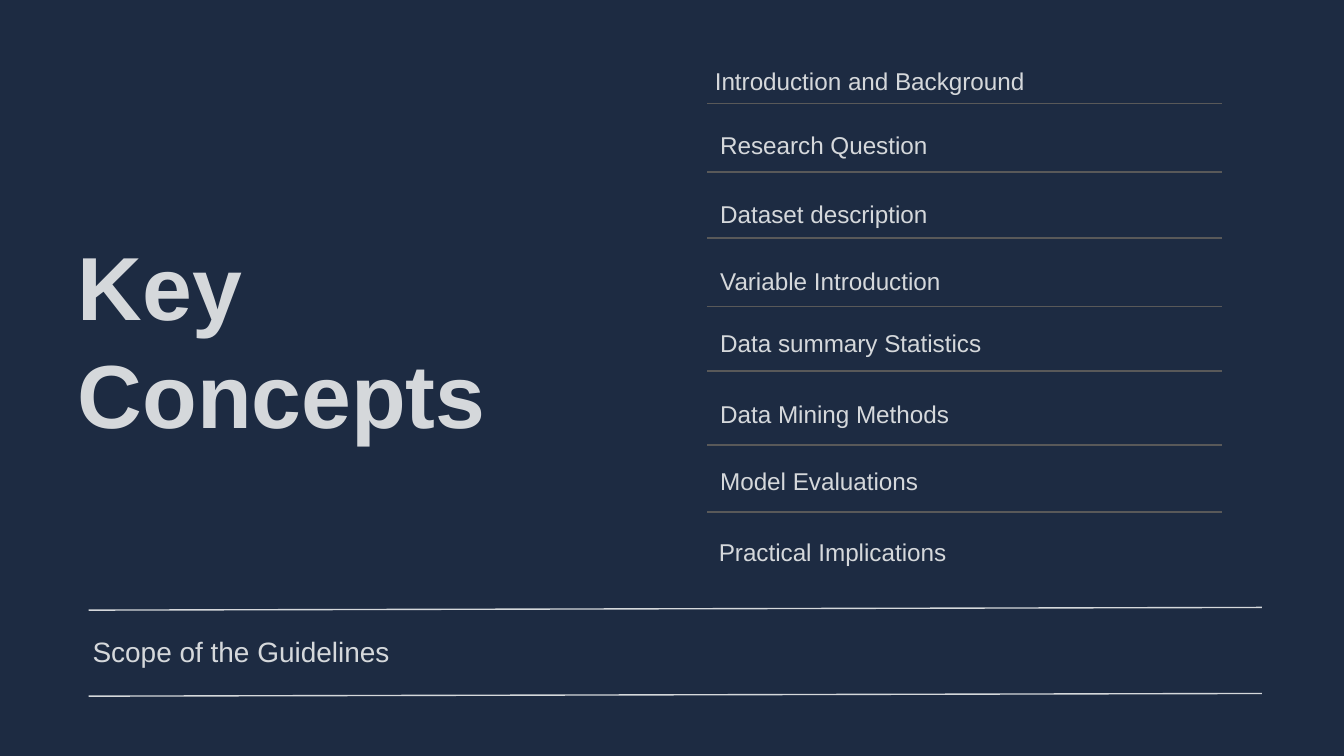
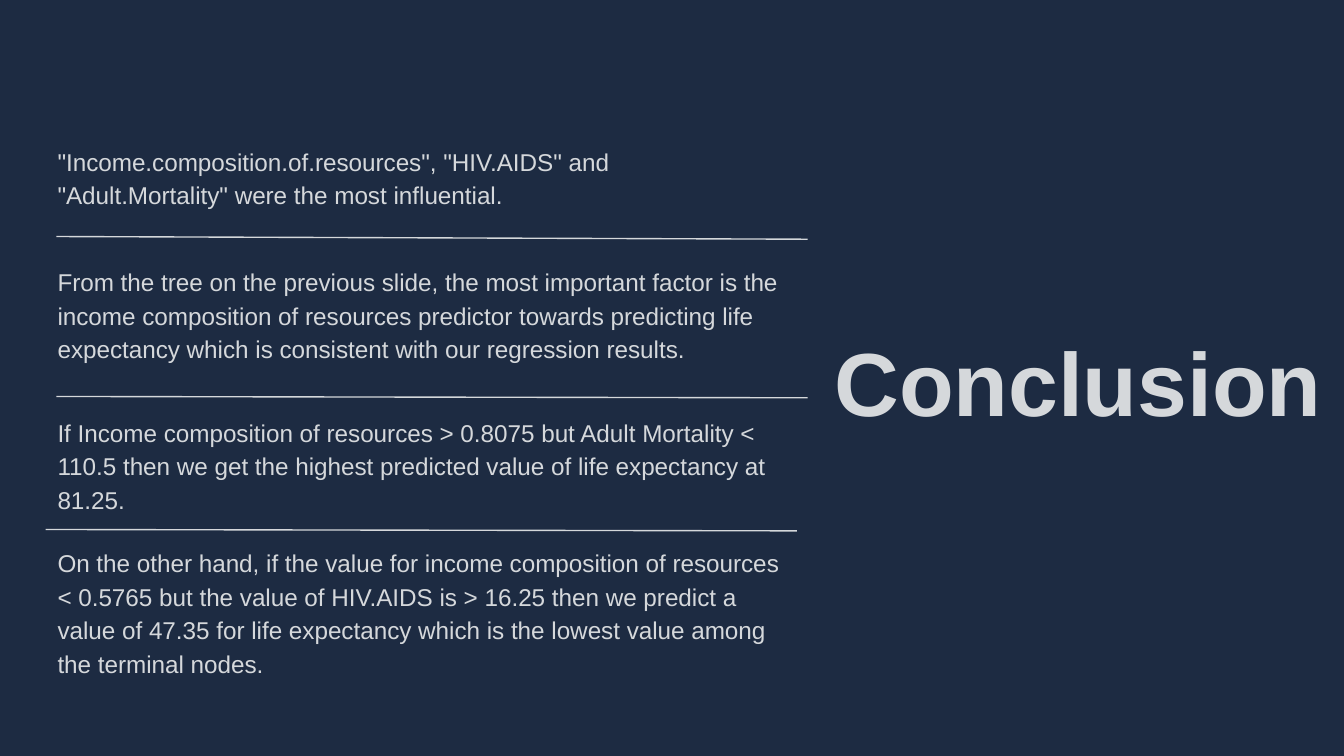
from dataclasses import dataclass

from lxml.etree import SubElement
from pptx import Presentation
from pptx.dml.color import RGBColor
from pptx.enum.shapes import MSO_CONNECTOR
from pptx.enum.text import MSO_ANCHOR
from pptx.oxml.ns import qn
from pptx.util import Inches, Pt


@dataclass(frozen=True)
class Theme:
    navy: RGBColor = RGBColor.from_string("1D2B42")
    silver: RGBColor = RGBColor.from_string("D5D8DB")
    grey: RGBColor = RGBColor.from_string("595959")
    font: str = "Arial"
    title_size: int = 48
    scope_size: int = 15
    body_size: int = 13
    rule_width: float = 0.75
    tight: float = 1.0
    loose: float = 1.15


THEME = Theme()
PAGE_WIDTH = Inches(10)
PAGE_HEIGHT = PAGE_WIDTH * 9 // 16

# Topic, left and top of its text, height of the rule below it
TOPICS = [
    ("Introduction and Background", 5.22, 0.39, 0.77),
    ("Research Question", 5.26, 0.87, 1.28),
    ("Dataset description", 5.26, 1.38, 1.77),
    ("Variable Introduction", 5.26, 1.88, 2.28),
    ("Data summary Statistics", 5.26, 2.34, 2.76),
    ("Data Mining Methods", 5.26, 2.87, 3.31),
    ("Model Evaluations", 5.26, 3.37, 3.81),
    ("Practical Implications", 5.25, 3.9, None),
]
TOPIC_RULE = (5.26, 9.09)
SCOPE = "Scope of the Guidelines"
SCOPE_RULES = [4.54, 5.18]

# Place of each box and its paragraphs
FINDINGS = [
    ((0.33, 0.96, 5.63, 0.63), [
        '"Income.composition.of.resources", "HIV.AIDS" and  "Adult.Mortality" '
        "were the most influential.",
    ]),
    ((0.33, 1.86, 5.68, 0.37), [
        "From the tree on the previous slide, the most important factor is the "
        "income composition of resources predictor towards predicting life "
        "expectancy which is consistent with our regression results.",
    ]),
    ((0.33, 2.98, 5.63, 0.37), [
        "If Income composition of resources > 0.8075 but Adult Mortality < 110.5 "
        "then we get the highest predicted value of life expectancy at 81.25.",
        "On the other hand, if the value for income composition of resources "
        "< 0.5765 but the value of HIV.AIDS is > 16.25 then we predict a value "
        "of 47.35 for life expectancy which is the lowest value among the "
        "terminal nodes.",
    ]),
]
FINDING_RULES = [(0.42, 1.76, 1.78), (0.42, 2.95, 2.96), (0.34, 3.94, 3.95)]
FINDING_RULE_LENGTH = 5.59


def add_page(deck):
    page = deck.slides.add_slide(deck.slide_layouts[6])
    fill = page.background.fill
    fill.solid()
    fill.fore_color.rgb = THEME.navy
    return page


def add_text(page, place, paragraphs, size=THEME.body_size, bold=False,
             spacing=THEME.tight, gap=0, anchor=MSO_ANCHOR.TOP):
    """Add a text box; gap is the space in points between its paragraphs."""
    box = page.shapes.add_textbox(*map(Inches, place))
    frame = box.text_frame
    frame.word_wrap = True
    frame.vertical_anchor = anchor
    frame.margin_left = frame.margin_right = Inches(0.1)
    frame.margin_top = frame.margin_bottom = Inches(0.1)
    frame.text = "\n".join(paragraphs)
    for index, para in enumerate(frame.paragraphs):
        para.line_spacing = spacing
        if index and gap:
            para.space_before = Pt(gap)
        for span in para.runs:
            span.font.name = THEME.font
            span.font.size = Pt(size)
            span.font.bold = bold
            span.font.color.rgb = THEME.silver


def add_title(page, place, lines, anchor):
    add_text(page, place, lines, THEME.title_size, bold=True, anchor=anchor)


def add_rule(page, start, end, color=THEME.silver):
    rule = page.shapes.add_connector(
        MSO_CONNECTOR.STRAIGHT, *map(Inches, start + end))
    rule.line.color.rgb = color
    rule.line.width = Pt(THEME.rule_width)
    SubElement(rule.element.spPr, qn("a:effectLst"))


def build_key_concepts(deck):
    page = add_page(deck)
    add_title(page, (0.48, 1.62, 3.4, 1.8), ["Key", "Concepts"],
              MSO_ANCHOR.BOTTOM)
    for top in SCOPE_RULES:
        add_rule(page, (0.66, top), (9.39, top - 0.02))
    add_text(page, (0.59, 4.62, 2.79, 0.21), [SCOPE], THEME.scope_size)
    left_end, right_end = TOPIC_RULE
    for topic, left, top, rule_top in TOPICS:
        add_text(page, (left, top, 3.09, 0.29), [topic])
        if rule_top is not None:
            add_rule(page, (left_end, rule_top), (right_end, rule_top),
                     THEME.grey)


def build_conclusion(deck):
    page = add_page(deck)
    add_title(page, (6.11, 2.33, 4.04, 0.63), ["Conclusion"], MSO_ANCHOR.TOP)
    for place, paragraphs in FINDINGS:
        add_text(page, place, paragraphs, spacing=THEME.loose, gap=16)
    for left, start_top, end_top in FINDING_RULES:
        add_rule(page, (left, start_top),
                 (left + FINDING_RULE_LENGTH, end_top))


def main():
    deck = Presentation()
    deck.slide_width = PAGE_WIDTH
    deck.slide_height = PAGE_HEIGHT
    build_key_concepts(deck)
    build_conclusion(deck)
    deck.save("out.pptx")


if __name__ == "__main__":
    main()
